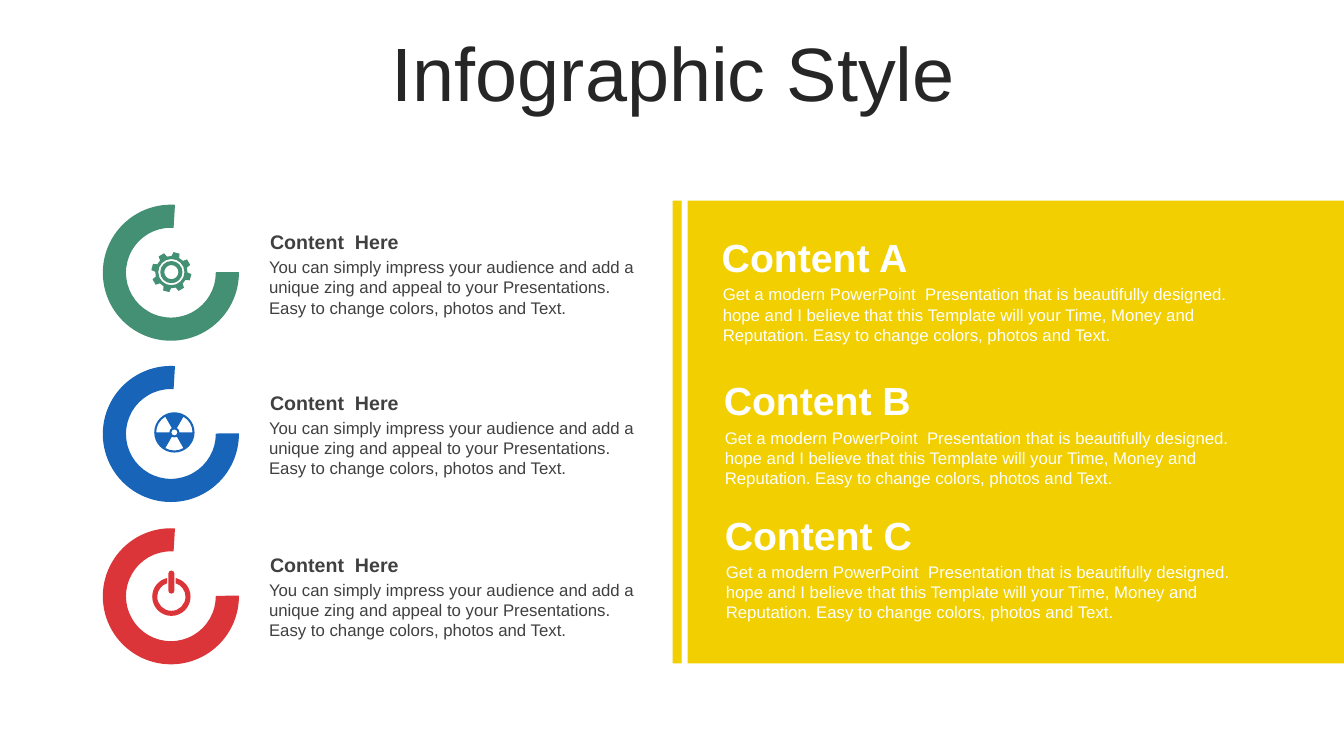
from math import cos, radians, sin, tan

from pptx import Presentation
from pptx.dml.color import RGBColor
from pptx.enum.shapes import MSO_SHAPE
from pptx.enum.text import MSO_ANCHOR, MSO_AUTO_SIZE, PP_ALIGN
from pptx.oxml.ns import qn
from pptx.util import Inches, Pt

BLOCK_ARC, RECTANGLE = MSO_SHAPE.BLOCK_ARC, MSO_SHAPE.RECTANGLE
TOP, MIDDLE = MSO_ANCHOR.TOP, MSO_ANCHOR.MIDDLE
FIXED, GROW = MSO_AUTO_SIZE.NONE, MSO_AUTO_SIZE.SHAPE_TO_FIT_TEXT
CENTER = PP_ALIGN.CENTER

GREEN = RGBColor(0x44, 0x90, 0x74)
BLUE = RGBColor(0x17, 0x64, 0xB9)
RED = RGBColor(0xDC, 0x35, 0x39)
YELLOW = RGBColor(0xF1, 0xCF, 0x01)
WHITE = RGBColor(0xFF, 0xFF, 0xFF)
DARK = RGBColor(0x26, 0x26, 0x26)
GREY = RGBColor(0x40, 0x40, 0x40)

ITEM_TEXT = (
    "You can simply impress your audience and add a unique zing and appeal "
    "to your Presentations. Easy to change colors, photos and Text."
)
PANEL_TEXT = (
    "Get a modern PowerPoint  Presentation that is beautifully designed. "
    "hope and I believe that this Template will your Time, Money and "
    "Reputation. Easy to change colors, photos and Text."
)
CIRCLE = (0, 90, 180, 270, 360)

prs = Presentation()
prs.slide_width, prs.slide_height = Inches(13.33), Inches(7.5)
slide = prs.slides.add_slide(prs.slide_layouts[6])
shapes = slide.shapes


def add_text(text, left, top, width, height, size, color, bold=False, anchor=TOP):
    box = shapes.add_textbox(Inches(left), Inches(top), Inches(width), Inches(height))
    frame = box.text_frame
    frame.word_wrap = True
    frame.auto_size = GROW
    frame.vertical_anchor = anchor
    run = frame.paragraphs[0].add_run()
    run.text = text
    run.font.name = "Arial"
    run.font.size = Pt(size)
    run.font.bold = bold
    run.font.color.rgb = color
    return frame


def arc(x, y, radius, *angles):
    """Bezier points (x, y, curved) through the angles, clockwise from the right."""
    spots = [(0, 0, angles[0], False)]
    for start, end in zip(angles, angles[1:]):
        pull = 4 / 3 * tan(radians(end - start) / 4)
        spots += [(pull, 0, start, True), (-pull, 0, end, True), (0, 0, end, True)]
    points = []
    for pull, _, angle, curved in spots:
        c, s = cos(radians(angle)), sin(radians(angle))
        points.append((Inches(x + radius * (c - pull * s)),
                       Inches(y + radius * (s + pull * c)), curved))
    return points


# Title
title = add_text("Infographic Style", 0.35, 0.37, 12.66, 0.79, 54, DARK, anchor=MIDDLE)
title.auto_size = FIXED
title.paragraphs[0].alignment = CENTER
title.paragraphs[0].line_spacing = 0.9

# Open rings
for top, color in ((5.24, RED), (3.63, BLUE), (2.03, GREEN)):
    ring = shapes.add_shape(
        BLOCK_ARC, Inches(1.02), Inches(top), Inches(1.35), Inches(1.35)
    )
    ring.rotation = 270
    ring.adjustments[0] = 53.67
    ring.adjustments[1] = 2.07
    ring.adjustments[2] = 0.17
    ring.shadow.inherit = False
    ring.fill.solid()
    ring.fill.fore_color.rgb = color
    ring.line.fill.background()

# Yellow panel with its side stripe
for left, width in ((6.82, 6.51), (6.67, 0.09)):
    panel = shapes.add_shape(
        RECTANGLE, Inches(left), Inches(1.99), Inches(width), Inches(4.59)
    )
    panel.shadow.inherit = False
    panel.fill.solid()
    panel.fill.fore_color.rgb = YELLOW
    panel.line.fill.background()

# Left items
for top in (2.23, 3.82, 5.43):
    add_text("Content  Here", 2.58, top, 3.83, 0.34, 14, GREY, True, MIDDLE)
    add_text(ITEM_TEXT, 2.57, top + 0.27, 3.83, 0.71, 12, GREY)

# Panel sections
for letter, left, top, text_top in (
    ("A", 7.06, 2.26, 2.77), ("B", 7.08, 3.68, 4.19), ("C", 7.09, 5.02, 5.52)
):
    add_text(f"Content {letter}", left, top, 5.29, 0.57, 28, WHITE, True, MIDDLE)
    add_text(PANEL_TEXT, left + 0.01, text_top, 12.38 - left, 0.71, 12, WHITE)

# Power sign: open ring and a rounded bar
power_x, power_y = 1.7, 5.92
power = [
    arc(power_x, power_y, 0.19, -77, 0, 90, 180, 257)
    + arc(power_x, power_y, 0.14, 253, 180, 90, 0, -73),
    arc(power_x, 5.69, 0.03, 180, 270, 360) + arc(power_x, 5.86, 0.03, 0, 90, 180),
]

# Radiation sign: disc with three cut-out blades and a hub
sign_x, sign_y = 1.73, 4.29
radiation = [arc(sign_x, sign_y, radius, *CIRCLE) for radius in (0.2, 0.03)]
for start in (60, 180, 300):
    radiation.append(
        arc(sign_x, sign_y, 0.18, start, start + 60)
        + arc(sign_x, sign_y, 0.05, start + 60, start)
    )

# Gear: eight teeth around concentric rings
gear_x, gear_y = 1.7, 2.7
teeth = []
for angle in range(15, 375, 45):
    for turn in (-9, 9):
        teeth += arc(gear_x, gear_y, 0.2, angle + turn)
    teeth += arc(gear_x, gear_y, 0.16, angle + 14, angle + 31)
gear = [teeth] + [arc(gear_x, gear_y, radius, *CIRCLE) for radius in (0.13, 0.11, 0.07)]

for contours, color in ((power, RED), (radiation, BLUE), (gear, GREEN)):
    builder = shapes.build_freeform(*contours[0][0][:2])
    for contour in contours:
        if contour is not contours[0]:
            builder.move_to(*contour[0][:2])
        builder.add_line_segments([point[:2] for point in contour[1:]], close=True)
    icon = builder.convert_to_shape()
    icon.shadow.inherit = False
    icon.fill.solid()
    icon.fill.fore_color.rgb = color
    icon.line.fill.background()

    # Merge each three curved points into one Bezier segment
    curved_flags = [point[2] for contour in contours for point in contour[1:]]
    curve_points = []
    for segment, curved in zip(list(icon._element.iter(qn("a:lnTo"))), curved_flags):
        if curved:
            curve_points.append(segment)
        if len(curve_points) == 3:
            curve, *others = curve_points
            curve.tag = qn("a:cubicBezTo")
            for other in others:
                curve.append(other[0])
                other.getparent().remove(other)
            curve_points = []

prs.save("out.pptx")
